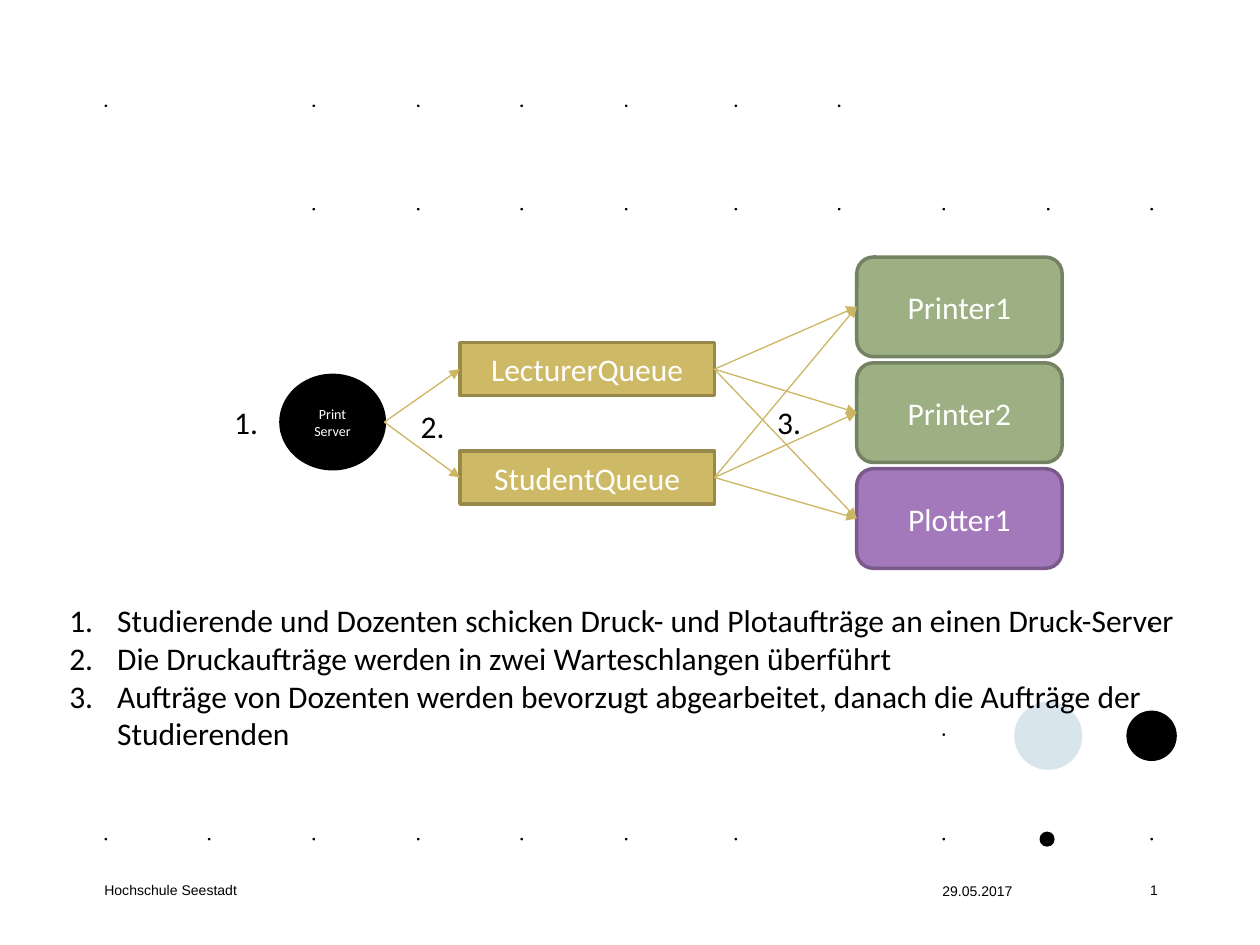
from dataclasses import dataclass
from itertools import product

from lxml.etree import SubElement
from pptx import Presentation
from pptx.dml.color import RGBColor
from pptx.enum.shapes import MSO_CONNECTOR, MSO_SHAPE
from pptx.enum.text import MSO_ANCHOR, MSO_AUTO_SIZE, PP_ALIGN
from pptx.oxml.ns import qn
from pptx.util import Inches, Pt

COLORS = {
    "black": "000000", "white": "FFFFFF", "pale": "D9E5EC",
    "gold": "CEB966", "gold_edge": "98894B", "arrow": "CCB661",
    "green": "9CB084", "green_edge": "738262",
    "purple": "A379BB", "purple_edge": "795A8A",
}

# Background dots: row position -> columns that hold a dot
COLUMNS = [0.83, 1.65, 2.48, 3.31, 4.13, 4.96, 5.83, 6.65, 7.48, 8.31, 9.13]
DOT_ROWS = {
    0.83: [0, *range(2, 8)],
    1.65: range(2, 11),
    4.96: [9, 10],
    5.82: [8],
    6.65: [*range(7), 8, 10],
}
DOT_SIZE = 0.02

STEPS = [
    "Studierende und Dozenten schicken Druck- und Plotaufträge an einen Druck-Server",
    "Die Druckaufträge werden in zwei Warteschlangen überführt",
    "Aufträge von Dozenten werden bevorzugt abgearbeitet, danach die Aufträge der Studierenden",
]


@dataclass
class Node:
    text: str
    left: float
    top: float
    width: float
    height: float
    shape: MSO_SHAPE
    fill: str
    edge: str
    size: int = 18

    @property
    def middle(self) -> float:
        return self.top + self.height / 2

    @property
    def right(self) -> float:
        return self.left + self.width


@dataclass
class Label:
    text: str
    left: float
    top: float
    width: float
    height: float
    size: int = 18
    font: str = "Calibri"
    anchor: MSO_ANCHOR = MSO_ANCHOR.TOP


@dataclass
class Circle:
    left: float
    top: float
    size: float
    fill: str = "black"


def color(name: str) -> RGBColor:
    return RGBColor.from_string(COLORS[name])


def format_text(frame, size: int, font: str, fill: str) -> None:
    for para in frame.paragraphs:
        for span in para.runs:
            span.font.size = Pt(size)
            span.font.name = font
            span.font.color.rgb = color(fill)


def draw_circle(page, circle: Circle) -> None:
    shape = page.shapes.add_shape(
        MSO_SHAPE.OVAL, Inches(circle.left), Inches(circle.top),
        Inches(circle.size), Inches(circle.size))
    shape.shadow.inherit = False
    shape.fill.solid()
    shape.fill.fore_color.rgb = color(circle.fill)
    shape.line.fill.background()


def draw_node(page, node: Node) -> None:
    shape = page.shapes.add_shape(
        node.shape, Inches(node.left), Inches(node.top),
        Inches(node.width), Inches(node.height))
    shape.shadow.inherit = False
    shape.fill.solid()
    shape.fill.fore_color.rgb = color(node.fill)
    shape.line.color.rgb = color(node.edge)
    shape.line.width = Pt(2)
    frame = shape.text_frame
    frame.text = node.text
    frame.vertical_anchor = MSO_ANCHOR.MIDDLE
    for para in frame.paragraphs:
        para.alignment = PP_ALIGN.CENTER
    format_text(frame, node.size, "Calibri", "white")


def draw_arrow(page, source: Node, target: Node) -> None:
    arrow = page.shapes.add_connector(
        MSO_CONNECTOR.STRAIGHT, Inches(source.right), Inches(source.middle),
        Inches(target.left), Inches(target.middle))
    arrow.line.color.rgb = color("arrow")
    arrow.line.width = Pt(0.75)
    SubElement(arrow.line._get_or_add_ln(), qn("a:tailEnd"), type="triangle")
    SubElement(arrow._element.spPr, qn("a:effectLst"))


def draw_label(page, label: Label) -> None:
    box = page.shapes.add_textbox(
        Inches(label.left), Inches(label.top),
        Inches(label.width), Inches(label.height))
    frame = box.text_frame
    frame.word_wrap = True
    frame.vertical_anchor = label.anchor
    frame.text = label.text
    format_text(frame, label.size, label.font, "black")


def fill_steps(body) -> None:
    body.left, body.top = Inches(0.45), Inches(4.72)
    body.width, body.height = Inches(9.87), Inches(1.62)
    frame = body.text_frame
    frame.text = "\n".join(STEPS)
    frame.auto_size = MSO_AUTO_SIZE.NONE
    frame.vertical_anchor = MSO_ANCHOR.TOP
    for para in frame.paragraphs:
        para.space_before = Pt(0)
        para.alignment = PP_ALIGN.LEFT
        properties = para._p.get_or_add_pPr()
        properties.set("marL", str(Inches(0.38)))
        properties.set("indent", str(-Inches(0.38)))
        SubElement(properties, qn("a:buFont"), typeface="+mj-lt")
        SubElement(properties, qn("a:buAutoNum"), type="arabicPeriod")
    format_text(frame, 18, "Calibri", "black")


def main() -> None:
    deck = Presentation()
    deck.slide_width, deck.slide_height = Inches(10), Inches(7.5)
    page = deck.slides.add_slide(deck.slide_layouts[1])
    title = page.shapes.title._element
    title.getparent().remove(title)

    # Background pattern
    for top, columns in DOT_ROWS.items():
        for column in columns:
            draw_circle(page, Circle(COLUMNS[column], top, DOT_SIZE))
    for circle in (Circle(8.05, 5.57, 0.54, "pale"), Circle(8.94, 5.64, 0.4),
                   Circle(8.25, 6.6, 0.12)):
        draw_circle(page, circle)

    # Server, queues and devices
    server = Node("Print\nServer", 2.23, 2.98, 0.82, 0.74,
                  MSO_SHAPE.OVAL, "black", "black", 8)
    queues = [Node(name, 3.65, 2.72 + 0.86 * row, 2.02, 0.42,
                   MSO_SHAPE.RECTANGLE, "gold", "gold_edge")
              for row, name in enumerate(("LecturerQueue", "StudentQueue"))]
    devices = [Node(name, 6.8, 2.04 + 0.84 * row, 1.63, 0.79,
                    MSO_SHAPE.ROUNDED_RECTANGLE, fill, f"{fill}_edge")
               for row, (name, fill) in enumerate((
                   ("Printer1", "green"), ("Printer2", "green"),
                   ("Plotter1", "purple")))]
    for node in (server, *queues, *devices):
        draw_node(page, node)
    for source, target in (*product([server], queues), *product(queues, devices)):
        draw_arrow(page, source, target)

    # Step numbers and footer
    middle = MSO_ANCHOR.MIDDLE
    for label in (
        Label("1.", 1.76, 3.15, 0.41, 0.4),
        Label("2.", 3.24, 3.18, 0.41, 0.4),
        Label("3.", 6.07, 3.15, 0.41, 0.4),
        Label("Hochschule Seestadt", 0.73, 6.89, 1.53, 0.35, 8, "Arial", middle),
        Label("29.05.2017", 7.38, 6.92, 0.91, 0.3, 8, "Arial", middle),
        Label("1", 9.03, 6.95, 0.87, 0.24, 8, "Arial"),
    ):
        draw_label(page, label)

    # Explanation, kept in front of the background pattern
    body = page.placeholders[1]
    fill_steps(body)
    page.shapes._spTree.append(body._element)

    deck.save("out.pptx")


if __name__ == "__main__":
    main()
